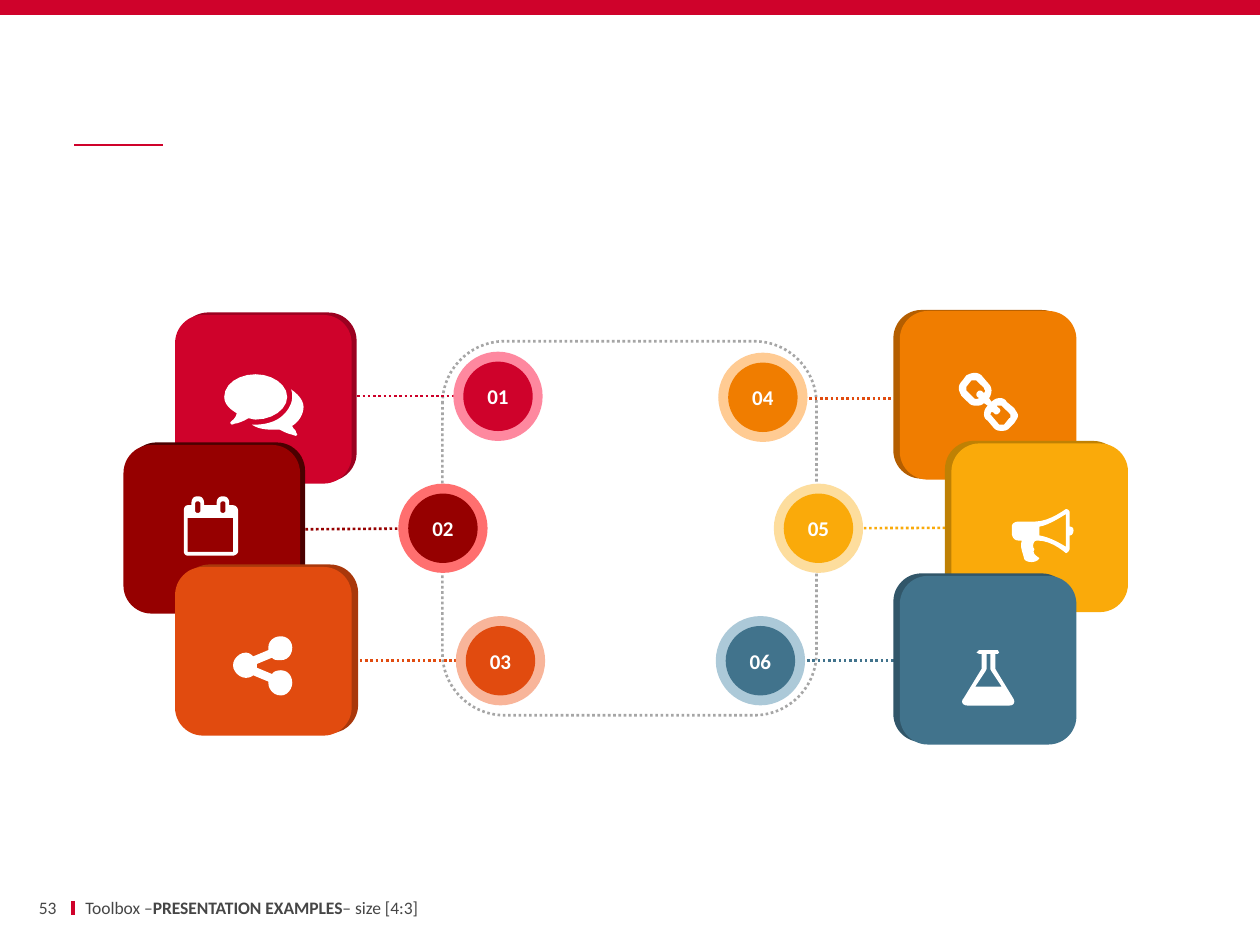
from dataclasses import dataclass
from typing import Optional

from lxml import etree
from pptx import Presentation
from pptx.dml.color import RGBColor
from pptx.enum import dml, shapes, text
from pptx.oxml import ns
from pptx.util import Cm, Pt

# Each step has a main, a dark and a light colour
RED, RED_DARK, RED_LIGHT = map(RGBColor.from_string, ("CF022B", "9B0120", "FE889F"))
MAROON, MAROON_DARK, MAROON_LIGHT = map(RGBColor.from_string, ("960000", "4B0000", "FF6F6F"))
RUST, RUST_DARK, RUST_LIGHT = map(RGBColor.from_string, ("E14B0F", "A9380B", "F8B59A"))
ORANGE, ORANGE_DARK, ORANGE_LIGHT = map(RGBColor.from_string, ("F07D00", "B45E00", "FFCB93"))
YELLOW, YELLOW_DARK, YELLOW_LIGHT = map(RGBColor.from_string, ("FAAA0A", "BF8104", "FDDD9D"))
BLUE, BLUE_DARK, BLUE_LIGHT = map(RGBColor.from_string, ("41738C", "315669", "ACC9D8"))
CRIMSON, WHITE, GREY, INK = map(RGBColor.from_string, ("CC0029", "FFFFFF", "A6A6A6", "464646"))

CARD_W, CARD_H = 3.56, 3.4
RING, DOT = 1.8, 1.4
ICON_UNIT = Cm(0.0254)
CURVE_STEPS = 6
LEFT, RIGHT = 1, 3  # connection sites
ROUND, OVAL = shapes.MSO_SHAPE.ROUNDED_RECTANGLE, shapes.MSO_SHAPE.OVAL
DOTTED = dml.MSO_LINE.ROUND_DOT

# Icon contours: two numbers make a corner, six a cubic curve
CHAT = (
    "203 333, 201 333 199 332 197 332, 194 334 191 335 188 336, 186 336 185 337 184 337, 183 336, 183 335,"
    "185 333 187 332 188 328, 183 325 178 321 178 315, 178 305 189 297 203 297, 216 297 228 305 228 315,"
    "228 325 216 333 203 333",
    "232 338, 233 341 235 341 235 343, 236 345, 235 346, 232 345, 228 344 226 343 222 341, 216 341,"
    "210 341 204 340 200 337, 203 337, 210 337 218 335 223 331, 228 327 232 321 232 315,"
    "232 313 232 311 231 309, 237 313 241 318 241 323, 241 329 237 335 232 338")
CALENDAR = (
    "189 438, 189 439 187 441 185 441, 149 441, 147 441 146 439 146 438, 146 405, 146 403 147 401 149 401,"
    "152 401, 152 399, 152 396 154 394 156 394, 158 394, 160 394 162 396 162 399, 162 401, 172 401, 172 399,"
    "172 396 174 394 176 394, 178 394, 180 394 182 396 182 399, 182 401, 185 401, 187 401 189 403 189 405",
    "185 438, 185 411, 149 411, 149 438",
    "159 399, 158 398, 156 398, 155 399, 155 406, 156 407, 158 407, 159 406",
    "179 399, 178 398, 176 398, 175 399, 175 406, 176 407, 178 407, 179 406")
SHARE = (
    "232 542, 232 547 228 552 223 552, 217 552 213 547 213 542, 213 541, 201 536, 200 537 198 538 195 538,"
    "190 538 185 533 185 528, 185 523 190 518 195 518, 198 518 200 520 201 521, 213 516, 213 514,"
    "213 509 217 505 223 505, 228 505 232 509 232 514, 232 520 228 524 223 524, 220 524 217 524 216 522,"
    "204 527, 204 530, 216 535, 217 533 220 532 223 532, 228 532 232 536 232 542",)
CHAIN = (
    "805 336, 801 340, 799 342 797 342 795 342, 793 342 791 342 789 340, 784 334, 782 333 781 331 781 329,"
    "781 326 782 324 784 322, 781 320, 779 322 777 322 775 322, 773 322 771 322 769 320, 763 314,"
    "762 312 761 310 761 308, 761 306 762 304 764 302, 767 298, 769 297 771 296 774 296,"
    "776 296 778 297 779 298, 785 305, 786 306 787 308 787 310, 787 312 786 315 785 316, 787 319,"
    "789 317 791 316 794 316, 796 316 798 317 799 319, 805 324, 806 326 808 328 808 330,"
    "808 332 806 334 805 336",
    "781 308, 775 302, 771 302, 767 307, 767 310, 773 316, 774 317 776 317 777 316, 776 315 775 315 775 313,"
    "775 312 776 310 778 310, 779 310 780 311 781 312, 781 312 782 311 782 310, 782 310 781 309 781 308",
    "801 328, 795 322, 791 322, 792 324 794 324 794 326, 794 327 792 329 791 329, 789 329 789 327 787 327,"
    "786 329, 787 330, 793 337, 797 337, 801 332, 802 332 802 331 802 330, 802 329 802 329 801 328")
MEGAPHONE = (
    "852 421, 852 423 851 425 849 425, 849 435, 849 437 847 439 846 439, 841 435 833 429 823 429,"
    "820 429 819 434 821 436, 819 439 822 441 825 443, 823 447 815 447 813 444, 812 439 809 434 811 429,"
    "808 429, 805 429 803 426 803 423, 803 418, 803 416 805 414 808 414, 821 414, 831 414 840 408 846 404,"
    "847 404 849 405 849 407, 849 418, 851 418 852 419 852 421",
    "846 408, 838 413 831 417 825 418, 825 425, 831 426 838 429 846 434")
FLASK = (
    "801 560, 768 560, 764 560 762 557 765 554, 779 531, 779 519, 777 519, 775 518, 777 516, 792 516, 793 518,"
    "792 519, 790 519, 790 531, 804 554, 806 557 805 560 801 560",
    "774 545, 795 545, 787 533, 786 531, 786 519, 783 519, 783 531, 782 533")


@dataclass
class Step:
    """One numbered card with its dot and dotted link; lengths in cm."""
    label: str
    colors: tuple  # main, dark, light
    back: tuple
    front: tuple
    ring: tuple
    link: tuple  # left, right, height
    icon: tuple
    link_color: Optional[RGBColor] = None
    card_side: Optional[int] = None  # side of the card that the link joins
    frame_side: Optional[int] = None  # side of the frame that the link joins


STEPS = [
    Step("01", (RED, RED_DARK, RED_LIGHT), (3.63, 6.3), (3.53, 6.35), (9.14, 7.09),
         (6.99, 9.83, 7.98), CHAT, link_color=CRIMSON),
    Step("02", (MAROON, MAROON_DARK, MAROON_LIGHT), (2.59, 8.92), (2.49, 8.97), (8.03, 9.75),
         (6.05, 8.92, 10.67), CALENDAR, card_side=RIGHT, frame_side=LEFT),
    Step("03", (RUST, RUST_DARK, RUST_LIGHT), (3.66, 11.38), (3.53, 11.43), (9.19, 12.42),
         (7.04, 9.88, 13.31), SHARE),
    Step("04", (ORANGE, ORANGE_DARK, ORANGE_LIGHT), (18.01, 6.25), (18.14, 6.27), (14.48, 7.11),
         (15.47, 18.21, 8.03), CHAIN, link_color=RUST),
    Step("05", (YELLOW, YELLOW_DARK, YELLOW_LIGHT), (19.05, 8.89), (19.18, 8.94), (15.6, 9.75),
         (16.48, 19.23, 10.67), MEGAPHONE, card_side=LEFT, frame_side=RIGHT),
    Step("06", (BLUE, BLUE_DARK, BLUE_LIGHT), (18.01, 11.56), (18.14, 11.61), (14.43, 12.42),
         (15.42, 18.16, 13.31), FLASK, card_side=LEFT),
]


def paint(shape, color: RGBColor):
    shape.shadow.inherit = False
    shape.fill.solid()
    shape.fill.fore_color.rgb = color
    shape.line.fill.background()
    return shape


def add_block(page, kind, left: float, top: float, width: float, height: float, color: RGBColor):
    return paint(page.shapes.add_shape(kind, Cm(left), Cm(top), Cm(width), Cm(height)), color)


def set_line(shape, color: RGBColor, width: float, dash=None) -> None:
    shape.line.color.rgb = color
    for name, value in {"width": Pt(width), "dash_style": dash}.items():
        setattr(shape.line, name, value)


def add_line(page, x1: float, y1: float, x2: float, y2: float, color: RGBColor, width: float, dash=None):
    line = page.shapes.add_connector(shapes.MSO_CONNECTOR.STRAIGHT, Cm(x1), Cm(y1), Cm(x2), Cm(y2))
    set_line(line, color, width, dash)
    etree.SubElement(line._element.spPr, ns.qn("a:effectLst"))
    return line


def write(box, spans: list, size: int, color: RGBColor, align, inset: float = 0) -> None:
    layout = {"word_wrap": True, "vertical_anchor": text.MSO_ANCHOR.MIDDLE, "margin_top": 0,
              "margin_bottom": 0, "margin_left": Cm(inset), "margin_right": Cm(inset)}
    for name, value in layout.items():
        setattr(box.text_frame, name, value)
    para = box.text_frame.paragraphs[0]
    para.alignment = align
    for words, bold in spans:
        span = para.add_run()
        span.text = words
        span.font.color.rgb = color
        for name, value in {"name": "Calibri", "size": Pt(size), "bold": bold}.items():
            setattr(span.font, name, value)


def trace(contour: str) -> list:
    """Turn a contour into points, sampling its curves."""
    points = []
    for segment in contour.split(","):
        values = [int(value) * ICON_UNIT for value in segment.split()]
        ends = points[-1:] + list(zip(values[::2], values[1::2]))
        if len(ends) < 4:
            points.append(ends[-1])
            continue
        for t in (n / CURVE_STEPS for n in range(1, CURVE_STEPS + 1)):
            weights = ((1 - t) ** 3, 3 * t * (1 - t) ** 2, 3 * t * t * (1 - t), t ** 3)
            points.append(tuple(sum(w * v for w, v in zip(weights, axis)) for axis in zip(*ends)))
    return points


def add_icon(page, icon: tuple) -> None:
    contours = [trace(contour) for contour in icon]
    builder = page.shapes.build_freeform(*contours[0][0], scale=1.0)
    for number, (start, *others) in enumerate(contours):
        if number:
            builder.move_to(*start)
        builder.add_line_segments(others, close=True)
    paint(builder.convert_to_shape(), WHITE)


def add_step(page, step: Step, frame) -> None:
    color, dark, light = step.colors
    add_block(page, ROUND, *step.back, CARD_W, CARD_H, dark)
    card = add_block(page, ROUND, *step.front, CARD_W, CARD_H, color)
    left, right, height = step.link
    link = add_line(page, left, height, right, height, step.link_color or color, 1.5, DOTTED)
    for shape, side in ((card, step.card_side), (frame, step.frame_side)):
        if side is not None:
            (link.begin_connect if side == RIGHT else link.end_connect)(shape, side)
    frame._element.addnext(link._element)  # links lie behind the cards
    x, y = step.ring
    inset = (RING - DOT) / 2
    add_block(page, OVAL, x, y, RING, RING, light)
    dot = add_block(page, OVAL, x + inset, y + inset, DOT, DOT, color)
    write(dot, [(step.label, True)], 12, WHITE, text.PP_ALIGN.CENTER)


def main() -> None:
    deck = Presentation()
    deck.slide_width, deck.slide_height = Cm(25.4), Cm(19.05)
    page = deck.slides.add_slide(deck.slide_layouts[6])
    # Accent lines and top bar
    add_line(page, 1.47, 18.16, 1.47, 18.44, RED, 2.25)
    add_line(page, 1.5, 2.92, 3.28, 2.92, RED, 1)
    add_block(page, shapes.MSO_SHAPE.RECTANGLE, 0, 0, 25.4, 0.3, RED)
    # Dotted frame, steps and icons
    frame = add_block(page, ROUND, 8.92, 6.88, 7.54, 7.54, WHITE)
    frame.fill.background()
    set_line(frame, GREY, 1.5, DOTTED)
    for step in STEPS:
        add_step(page, step, frame)
    for step in STEPS:
        add_icon(page, step.icon)
    # Footer
    number = page.shapes.add_textbox(Cm(0.33), Cm(18.06), Cm(0.81), Cm(0.46))
    write(number, [("53", False)], 10, INK, text.PP_ALIGN.RIGHT)
    footer = page.shapes.add_textbox(Cm(1.47), Cm(18.06), Cm(12.62), Cm(0.46))
    spans = [("Toolbox –", False), ("PRESENTATION EXAMPLES", True), ("– size [4:3]", False)]
    write(footer, spans, 10, INK, text.PP_ALIGN.LEFT, 0.25)
    deck.save("out.pptx")


if __name__ == "__main__":
    main()
